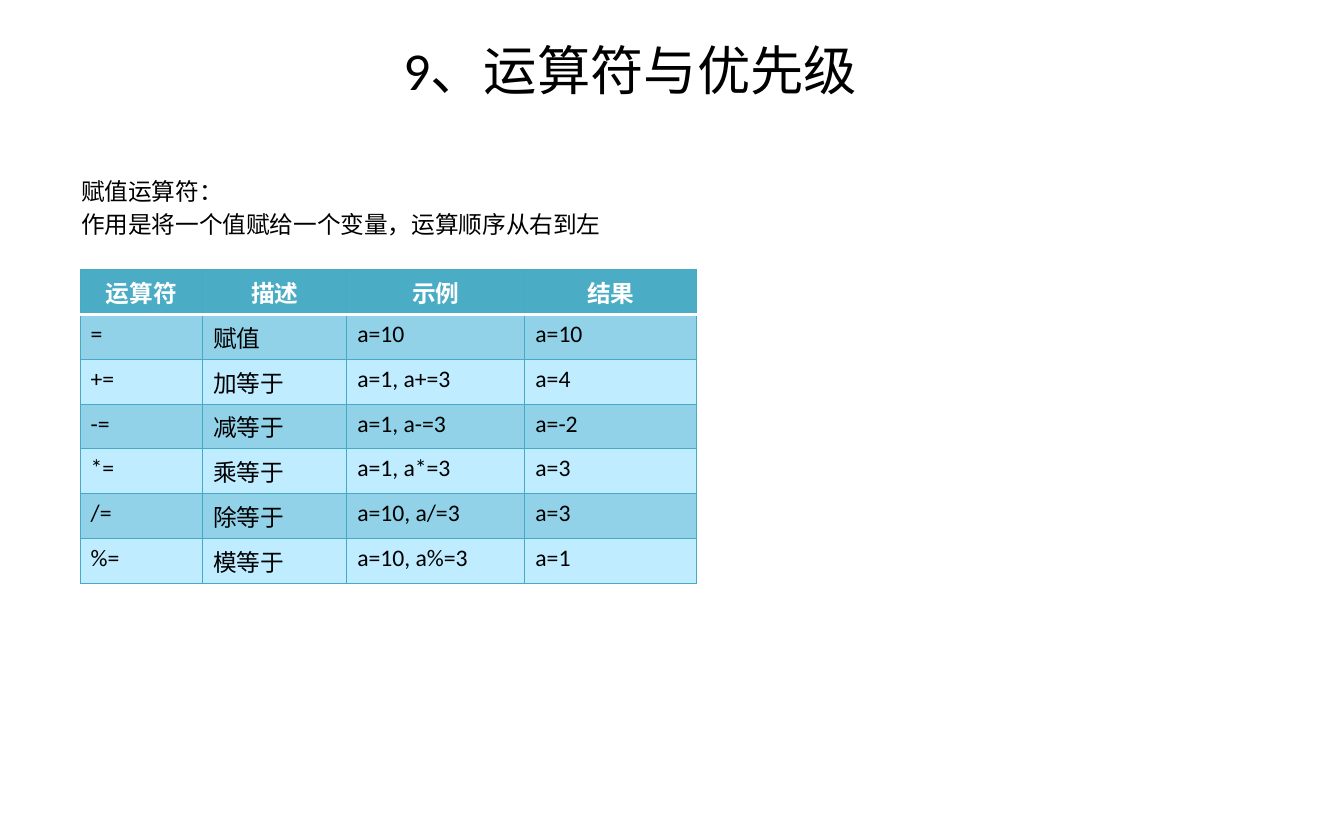
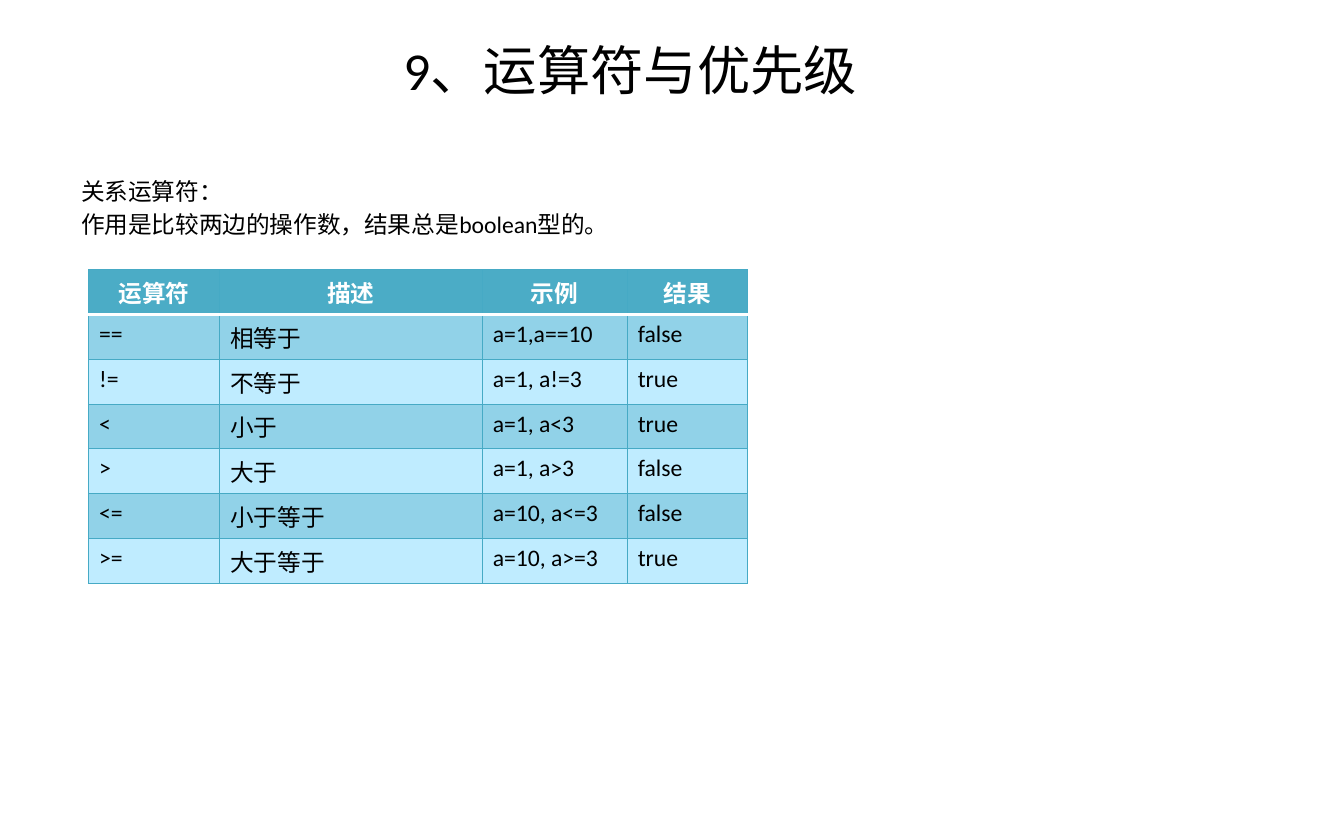
from dataclasses import dataclass

from lxml.etree import SubElement
from pptx import Presentation
from pptx.dml.color import RGBColor
from pptx.enum.text import MSO_ANCHOR as Anchor, PP_ALIGN as Align
from pptx.oxml.ns import qn
from pptx.slide import Slide
from pptx.table import _Cell as Cell
from pptx.text.text import TextFrame
from pptx.util import Inches, Pt

COLORS = {
    "text": "000000",
    "header_text": "FFFFFF",
    "header": "4BACC6",
    "band_dark": "91D2E8",
    "band_light": "BFECFF",
    "grid": "46AAC5",
    "header_rule": "FFFFFF",
}
FONT = "Calibri"
TITLE = "9、运算符与优先级"
HEADINGS = ("运算符", "描述", "示例", "结果")
PAGE_WIDTH, PAGE_RATIO = 12.6, 16 / 10
TITLE_SIZE, TEXT_SIZE = 36, 16
TABLE_TOP, ROW_HEIGHT = 2.53, 0.42
GRID_WIDTH, RULE_WIDTH = 0.75, 2


@dataclass(frozen=True)
class OperatorTopic:
    intro: str
    table_left: float
    column_widths: tuple[float, ...]
    rows: tuple[tuple[str, ...], ...]


TOPICS = (
    OperatorTopic(
        "赋值运算符：\n作用是将一个值赋给一个变量，运算顺序从右到左",
        0.75,
        (1.15, 1.35, 1.67, 1.61),
        (
            ("=", "赋值", "a=10", "a=10"),
            ("+=", "加等于", "a=1, a+=3", "a=4"),
            ("-=", "减等于", "a=1, a-=3", "a=-2"),
            ("*=", "乘等于", "a=1, a*=3", "a=3"),
            ("/=", "除等于", "a=10, a/=3", "a=3"),
            ("%=", "模等于", "a=10, a%=3", "a=1"),
        ),
    ),
    OperatorTopic(
        "关系运算符：\n作用是比较两边的操作数，结果总是boolean型的。",
        0.83,
        (1.23, 2.46, 1.36, 1.13),
        (
            ("==", "相等于", "a=1,a==10", "false"),
            ("!=", "不等于", "a=1, a!=3", "true"),
            ("<", "小于", "a=1, a<3", "true"),
            (">", "大于", "a=1, a>3", "false"),
            ("<=", "小于等于", "a=10, a<=3", "false"),
            (">=", "大于等于", "a=10, a>=3", "true"),
        ),
    ),
)


def format_text(frame: TextFrame, size: float, color: str = "text",
                bold: bool = False, align: Align = Align.LEFT) -> None:
    for para in frame.paragraphs:
        para.alignment = align
        for span in para.runs:
            span.font.name = FONT
            span.font.size = Pt(size)
            span.font.bold = bold
            span.font.color.rgb = RGBColor.from_string(COLORS[color])


def add_text(page: Slide, text: str, left: float, top: float,
             width: float, height: float) -> TextFrame:
    box = page.shapes.add_textbox(Inches(left), Inches(top), Inches(width), Inches(height))
    frame = box.text_frame
    frame.word_wrap = True
    frame.margin_left = frame.margin_right = Inches(0.13)
    frame.margin_top = frame.margin_bottom = Inches(0.07)
    frame.text = text
    return frame


def add_border(cell: Cell, side: str, color: str, width: float) -> None:
    properties = cell._tc.get_or_add_tcPr()
    line = SubElement(properties, qn(f"a:ln{side}"), w=str(Pt(width)))
    fill = SubElement(line, qn("a:solidFill"))
    SubElement(fill, qn("a:srgbClr"), val=COLORS[color])


def style_cell(cell: Cell, row: int) -> None:
    is_header = row == 0
    # Borders come before the fill in the cell properties
    for side in "LRTB":
        is_rule = (row, side) in ((0, "B"), (1, "T"))
        if is_rule:
            add_border(cell, side, "header_rule", RULE_WIDTH)
        else:
            add_border(cell, side, "grid", GRID_WIDTH)
    band = "header" if is_header else "band_dark" if row % 2 else "band_light"
    cell.fill.solid()
    cell.fill.fore_color.rgb = RGBColor.from_string(COLORS[band])
    format_text(cell.text_frame, TEXT_SIZE, "header_text" if is_header else "text",
                is_header, Align.CENTER if is_header else Align.LEFT)


def add_operator_table(page: Slide, topic: OperatorTopic) -> None:
    rows = (HEADINGS, *topic.rows)
    table = page.shapes.add_table(
        len(rows), len(HEADINGS), Inches(topic.table_left), Inches(TABLE_TOP),
        Inches(sum(topic.column_widths)), Inches(ROW_HEIGHT * len(rows))).table
    for column, width in zip(table.columns, topic.column_widths):
        column.width = Inches(width)
    for row, values in enumerate(rows):
        table.rows[row].height = Inches(ROW_HEIGHT)
        for column, value in enumerate(values):
            cell = table.cell(row, column)
            cell.text_frame.text = value
            style_cell(cell, row)


def add_topic_page(deck: Presentation, topic: OperatorTopic) -> None:
    page = deck.slides.add_slide(deck.slide_layouts[6])

    # Title
    title = add_text(page, TITLE, 1.58, 0.32, 8.66, 0.66)
    title.vertical_anchor = Anchor.MIDDLE
    format_text(title, TITLE_SIZE, align=Align.CENTER)

    # Introduction
    intro = add_text(page, topic.intro, 0.63, 1.59, 11.34, 5.31)
    format_text(intro, TEXT_SIZE)
    for para in intro.paragraphs:
        para.space_after = Pt(TEXT_SIZE * 0.2)

    # Operators
    add_operator_table(page, topic)


def main() -> None:
    deck = Presentation()
    deck.slide_width = Inches(PAGE_WIDTH)
    deck.slide_height = Inches(PAGE_WIDTH / PAGE_RATIO)
    for topic in TOPICS:
        add_topic_page(deck, topic)
    deck.save("out.pptx")


if __name__ == "__main__":
    main()
